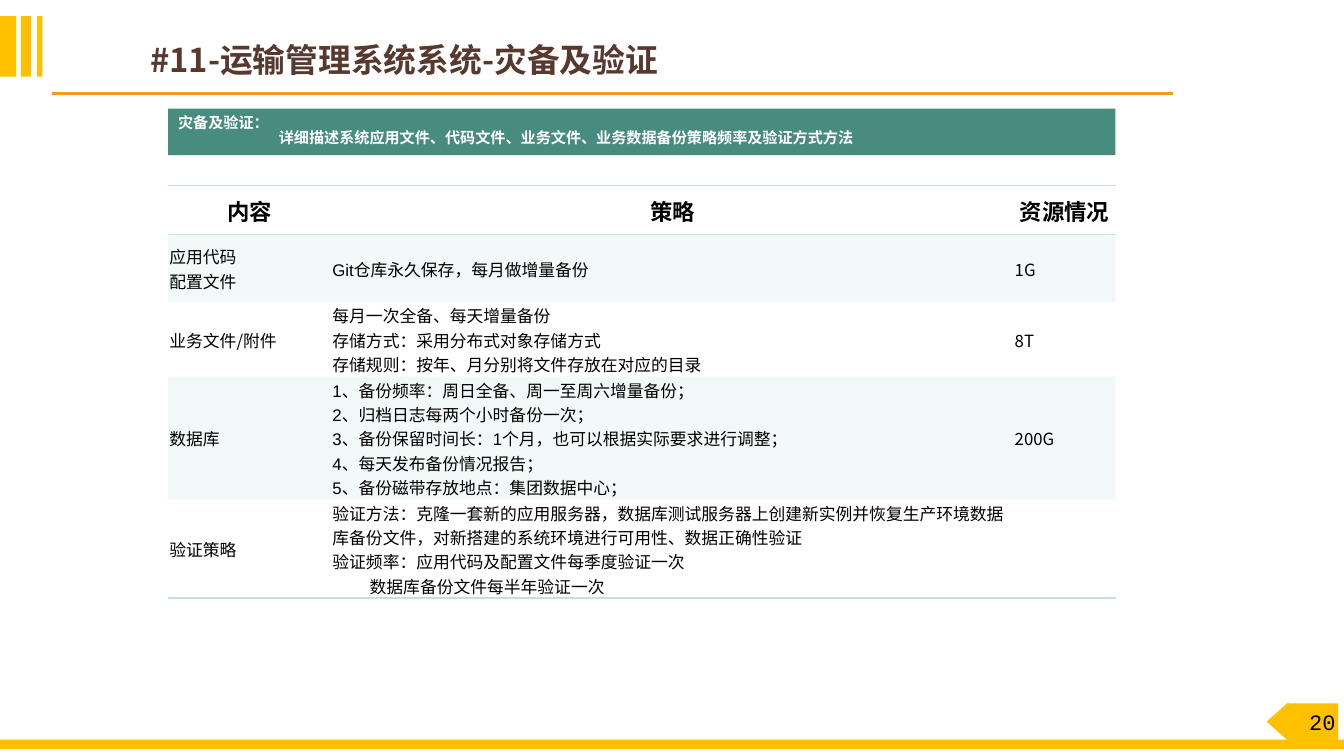
"""Build the disaster recovery and verification slide."""
from lxml.etree import SubElement
from pptx import Presentation
from pptx.dml.color import RGBColor
from pptx.enum.shapes import MSO_CONNECTOR, MSO_SHAPE
from pptx.enum.text import MSO_ANCHOR as Anchor, PP_ALIGN as Align
from pptx.oxml.ns import qn
from pptx.util import Cm, Pt

SANS = "Noto Sans CJK SC"
YELLOW, MINT = "FFC000", "C5E1DC"


def style(paragraph, size, color, name, bold=False, align=Align.LEFT):
    paragraph.alignment = align
    font = paragraph.font
    font.size, font.name, font.bold = Pt(size), name, bold
    font.color.rgb = RGBColor.from_string(color)


def add_block(kind, color, left, top, width, height):
    shape = slide.shapes.add_shape(kind, Cm(left), Cm(top), Cm(width), Cm(height))
    shape.shadow.inherit = False
    shape.fill.solid()
    shape.fill.fore_color.rgb = RGBColor.from_string(color)
    shape.line.fill.background()
    return shape


presentation = Presentation()
presentation.slide_width, presentation.slide_height = Cm(33.88), Cm(19.05)
slide = presentation.slides.add_slide(presentation.slide_layouts[5])

add_block(MSO_SHAPE.RECTANGLE, YELLOW, 0, 18.64, 33.88, 0.23)
for left, width in [(0, 0.41), (0.53, 0.25), (0.94, 0.13)]:
    add_block(MSO_SHAPE.RECTANGLE, YELLOW, left, 0.41, width, 1.52)

rule = slide.shapes.add_connector(MSO_CONNECTOR.STRAIGHT, Cm(1.3), Cm(2.36), Cm(29.57), Cm(2.36))
rule.line.color.rgb = RGBColor.from_string("F39A25")
rule.line.width = Pt(1.75)
SubElement(rule.element.spPr, qn("a:effectLst"))

page_arrow = add_block(MSO_SHAPE.LEFT_ARROW, YELLOW, 31.93, 17.7, 1.8, 0.97)
page_arrow.adjustments[0], page_arrow.adjustments[1] = 0.946, 0.563
frame = page_arrow.text_frame
frame.margin_left, frame.margin_right = Cm(0.5), 0
frame.margin_top = frame.margin_bottom = 0
frame.text = "20"
style(frame.paragraphs[0], 15.7, "000000", "Courier New", align=Align.CENTER)

title = slide.shapes.title
title.left, title.top, title.width, title.height = Cm(3.53), Cm(0.74), Cm(28.45), Cm(1.52)
title.text_frame.text = "#11-运输管理系统系统-灾备及验证"
title.text_frame.vertical_anchor = Anchor.MIDDLE
style(title.text_frame.paragraphs[0], 23.4, "57392F", SANS, bold=True)

banner = add_block(MSO_SHAPE.RECTANGLE, "488B7F", 4.24, 2.74, 23.88, 1.17)
frame = banner.text_frame
frame.margin_top = frame.margin_bottom = 0
frame.vertical_anchor = Anchor.MIDDLE
frame.text = "灾备及验证：\n详细描述系统应用文件、代码文件、业务文件、业务数据备份策略频率及验证方式方法"
for paragraph in frame.paragraphs:
    paragraph.line_spacing = 0.83
    style(paragraph, 10.8, "FFFFFF", SANS, bold=True)
frame.paragraphs[1]._p.get_or_add_pPr().set("marL", str(Cm(2.54)))

rows = [
    ("内容", "策略", "资源情况"),
    ("应用代码\n配置文件", "Git仓库永久保存，每月做增量备份", "1G"),
    ("业务文件/附件",
     "每月一次全备、每天增量备份\n"
     "存储方式：采用分布式对象存储方式\n"
     "存储规则：按年、月分别将文件存放在对应的目录", "8T"),
    ("数据库",
     "1、备份频率：周日全备、周一至周六增量备份；\n"
     "2、归档日志每两个小时备份一次；\n"
     "3、备份保留时间长：1个月，也可以根据实际要求进行调整；\n"
     "4、每天发布备份情况报告；\n"
     "5、备份磁带存放地点：集团数据中心；", "200G"),
    ("验证策略",
     "验证方法：克隆一套新的应用服务器，数据库测试服务器上创建新实例并恢复生产环境数据库备份文件，"
     "对新搭建的系统环境进行可用性、数据正确性验证\n"
     "验证频率：应用代码及配置文件每季度验证一次\n"
     "数据库备份文件每半年验证一次", ""),
]
borders = {0: ("a:lnT", "a:lnB"), len(rows) - 1: ("a:lnB",)}
table = slide.shapes.add_table(len(rows), 3, Cm(4.24), Cm(4.67), Cm(23.88), Cm(9.52)).table
table.first_row = table.horz_banding = False
table._tbl.tblPr.find(qn("a:tableStyleId")).text = "{2D5ABB26-0587-4C30-8999-92F81FD0307C}"
for column, width in zip(table.columns, (4.11, 17.2, 2.57)):
    column.width = Cm(width)
for row, height in zip(table.rows, (1.24, 1.7, 1.57, 3, 2.01)):
    row.height = Cm(height)

for row_index, texts in enumerate(rows):
    header, banded = row_index == 0, row_index % 2 == 1
    for column_index, text in enumerate(texts):
        cell = table.cell(row_index, column_index)
        cell.text = text
        cell.vertical_anchor = Anchor.MIDDLE
        cell.margin_left = cell.margin_right = cell.margin_top = Cm(0.03)
        cell.margin_bottom = 0
        latin = "Arial" if header or banded and column_index < 2 else SANS
        for paragraph in cell.text_frame.paragraphs:
            style(paragraph, 16 if header else 12, "000000", latin, header,
                  Align.CENTER if header else Align.LEFT)
        for side in borders.get(row_index, ()):
            line = SubElement(cell._tc.get_or_add_tcPr(), qn(side), w=str(Pt(1)))
            SubElement(SubElement(line, qn("a:solidFill")), qn("a:srgbClr"), val=MINT)
        if banded:
            cell.fill.solid()
            cell.fill.fore_color.rgb = RGBColor.from_string(MINT)
            color = cell._tc.tcPr.find(qn("a:solidFill")).find(qn("a:srgbClr"))
            SubElement(color, qn("a:alpha"), val="20000")
        else:
            cell.fill.background()

last_step = table.cell(4, 1).text_frame.paragraphs[-1]
last_step._p.get_or_add_pPr().set("marL", str(Cm(0.94)))

presentation.save("out.pptx")
